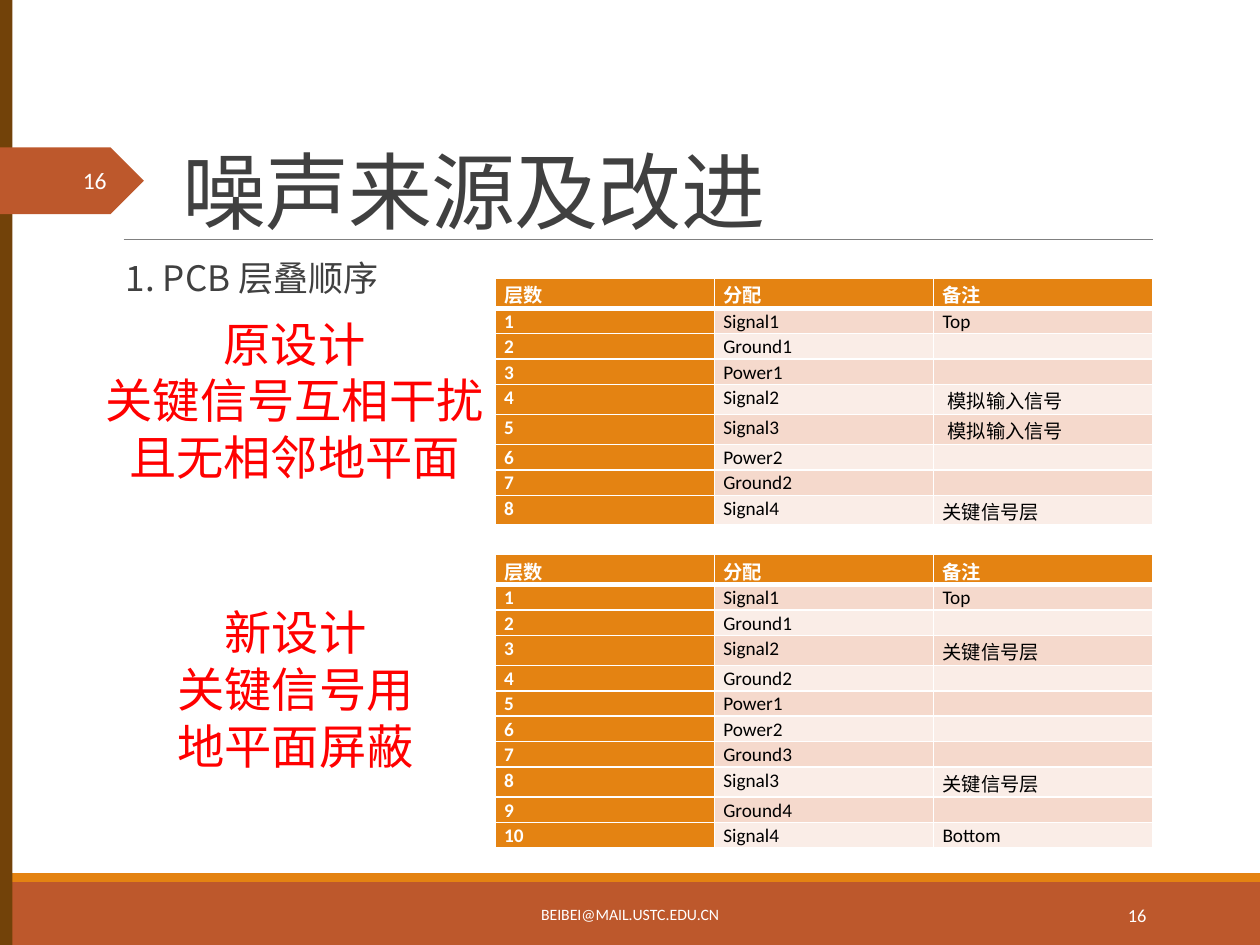
from dataclasses import dataclass
from typing import Optional

import pptx
import pptx.dml.color
import pptx.enum.shapes
import pptx.enum.text
import pptx.oxml.ns
import pptx.oxml.xmlchemy
import pptx.util
from lxml import etree

Cm, Pt = pptx.util.Cm, pptx.util.Pt
RGBColor = pptx.dml.color.RGBColor
Shape = pptx.enum.shapes.MSO_SHAPE
Anchor = pptx.enum.text.MSO_ANCHOR
Align = pptx.enum.text.PP_ALIGN
qn = pptx.oxml.ns.qn

RUST = RGBColor(0xBD, 0x58, 0x2C)
ORANGE = RGBColor(0xE4, 0x83, 0x12)
BROWN = RGBColor(0x72, 0x42, 0x09)
GRAY = RGBColor(0x80, 0x80, 0x80)
DARK = RGBColor(0x40, 0x40, 0x40)
RED = RGBColor(0xFF, 0x00, 0x00)
BLACK = RGBColor(0x00, 0x00, 0x00)
WHITE = RGBColor(0xFF, 0xFF, 0xFF)
BANDS = (RGBColor(0xFA, 0xED, 0xE7), RGBColor(0xF5, 0xD9, 0xCC))

LATIN, CJK = "Calibri", "Noto Sans CJK SC"


@dataclass
class Block:
    box: tuple
    fill: RGBColor
    kind: int = Shape.RECTANGLE


@dataclass
class Label:
    box: tuple
    lines: tuple
    size: float
    color: RGBColor
    align: int = Align.LEFT
    anchor: int = Anchor.TOP
    font: str = LATIN
    inset: tuple = (0.18, 0.1)
    indent: float = 0
    spacing: float = 1.0
    tracking: Optional[int] = None
    wrap: bool = True


@dataclass
class Layer:
    signal: str
    note: str = ""
    indent: float = 0


BLOCKS = (
    Block((0, 17.78, 25.4, 1.27), RUST),
    Block((0, 17.6, 25.4, 0.18), ORANGE),
    Block((0, 0, 0.25, 19.05), BROWN),
    Block((0, 2.97, 2.9, 1.35), RUST, Shape.PENTAGON),
)

LABELS = (
    Label((-0.41, 3.12, 2.74, 1.02), ("16",), 13.5, WHITE, Align.RIGHT, Anchor.MIDDLE),
    Label((3.43, 0.94, 20.96, 4.04), ("噪声来源及改进",), 48, DARK, anchor=Anchor.BOTTOM,
          font=CJK, inset=(0.25, 0.13), spacing=0.85, tracking=-50),
    Label((2.29, 5.13, 20.96, 11.18), ("1. PCB 层叠顺序",), 20, DARK, font=CJK,
          inset=(0, 0.13), indent=0.25, spacing=0.9),
    Label((7.67, 17.93, 10.06, 1.02), ("BEIBEI@MAIL.USTC.EDU.CN",), 9, WHITE,
          Align.CENTER, Anchor.MIDDLE, inset=(0.25, 0.13)),
    Label((20.62, 17.93, 2.74, 1.02), ("16",), 10.5, WHITE,
          Align.RIGHT, Anchor.MIDDLE, inset=(0.25, 0.13)),
    Label((1.9, 6.25, 8.08, 3.66), ("原设计", "关键信号互相干扰", "且无相邻地平面"),
          27, RED, Align.CENTER, wrap=False),
    Label((2.29, 12.07, 7.34, 3.66), ("新设计", "关键信号用", "地平面屏蔽"),
          27, RED, Align.CENTER),
)

HEADER = ("层数", "分配", "备注")
OLD_STACK = (
    Layer("Signal1", "Top"), Layer("Ground1"), Layer("Power1"),
    Layer("Signal2", "模拟输入信号", 0.1), Layer("Signal3", "模拟输入信号", 0.1),
    Layer("Power2"), Layer("Ground2"), Layer("Signal4", "关键信号层"),
)
NEW_STACK = (
    Layer("Signal1", "Top"), Layer("Ground1"), Layer("Signal2", "关键信号层"),
    Layer("Ground2"), Layer("Power1"), Layer("Power2"), Layer("Ground3"),
    Layer("Signal3", "关键信号层"), Layer("Ground4"), Layer("Signal4", "Bottom"),
)


def apply(target, values: dict) -> None:
    for name, value in values.items():
        setattr(target, name, value)


def add_run(p, text: str, size: float, color: RGBColor, font: str = LATIN,
            bold: bool = False):
    r = p.add_run()
    r.text = text
    apply(r.font, {"size": Pt(size), "name": font, "bold": bold})
    r.font.color.rgb = color
    etree.SubElement(r.font._element, qn("a:ea")).set("typeface", CJK)
    return r


def add_block(s, block: Block) -> None:
    sp = s.shapes.add_shape(block.kind, *map(Cm, block.box))
    sp.shadow.inherit = False
    sp.fill.solid()
    sp.fill.fore_color.rgb = block.fill
    sp.line.fill.background()


def add_rule(s, left: float, right: float, y: float) -> None:
    line = s.shapes.add_connector(pptx.enum.shapes.MSO_CONNECTOR.STRAIGHT,
                                  Cm(left), Cm(y), Cm(right), Cm(y))
    line.line.color.rgb = GRAY
    line.line.width = Pt(0.5)
    etree.SubElement(line._element.spPr, qn("a:effectLst"))


def add_label(s, label: Label) -> None:
    tf = s.shapes.add_textbox(*map(Cm, label.box)).text_frame
    side, edge = map(Cm, label.inset)
    apply(tf, {"word_wrap": label.wrap, "vertical_anchor": label.anchor,
               "margin_left": side + Cm(label.indent), "margin_right": side,
               "margin_top": edge, "margin_bottom": edge})
    for i, text in enumerate(label.lines):
        p = tf.add_paragraph() if i else tf.paragraphs[0]
        apply(p, {"alignment": label.align, "line_spacing": label.spacing})
        r = add_run(p, text, label.size, label.color, label.font)
        if label.tracking is not None:
            r.font._element.set("spc", str(label.tracking))


def add_borders(cell, bottom: float) -> None:
    tc_pr = cell._tc.get_or_add_tcPr()
    for side, width in (("L", 1), ("R", 1), ("T", 1), ("B", bottom)):
        ln = etree.SubElement(tc_pr, qn(f"a:ln{side}"), w=str(int(Pt(width))))
        fill = etree.SubElement(ln, qn("a:solidFill"))
        etree.SubElement(fill, qn("a:srgbClr"), val=str(WHITE))


def fill_cell(cell, text: str, fill: RGBColor, strong: bool, bottom: float,
              indent: float) -> None:
    apply(cell, {"margin_left": Cm(0.18 + indent), "margin_right": Cm(0.18),
                 "margin_top": 0, "margin_bottom": 0})
    add_borders(cell, bottom)
    cell.fill.solid()
    cell.fill.fore_color.rgb = fill
    p = cell.text_frame.paragraphs[0]
    p.line_spacing = 1.07
    if text:
        add_run(p, text, 11, WHITE if strong else BLACK, bold=strong)
    else:
        # Keeps an empty cell from growing its row
        etree.SubElement(p._p, qn("a:endParaRPr"), sz="1100")


def add_stack(s, top: float, layers: tuple) -> None:
    rows = [HEADER] + [(str(n), x.signal, x.note) for n, x in enumerate(layers, 1)]
    height = 0.41
    table = s.shapes.add_table(len(rows), len(HEADER), Cm(9.98), Cm(top),
                               Cm(13.26), Cm(height * len(rows))).table
    apply(table, {"first_row": False, "horz_banding": False})
    for col in table.columns:
        col.width = Cm(4.42)
    for i, values in enumerate(rows):
        table.rows[i].height = Cm(height)
        for j, text in enumerate(values):
            strong = i == 0 or j == 0
            indent = layers[i - 1].indent if i and j == 2 else 0
            fill_cell(table.cell(i, j), text, ORANGE if strong else BANDS[i % 2],
                      strong, 1 if i else 3, indent)


def main() -> None:
    prs = pptx.Presentation()
    apply(prs, {"slide_width": Cm(25.4), "slide_height": Cm(19.05)})
    s = prs.slides.add_slide(prs.slide_layouts[6])

    # Frame: footer bars, side bar, page marker and title rule
    for block in BLOCKS:
        add_block(s, block)
    add_rule(s, 2.49, 23.24, 4.83)

    # Layer stacks of the new and old designs
    add_stack(s, 11.18, NEW_STACK)
    add_stack(s, 5.61, OLD_STACK)

    # Title, section, comments and footer texts
    for label in LABELS:
        add_label(s, label)

    prs.save("out.pptx")


if __name__ == "__main__":
    main()
